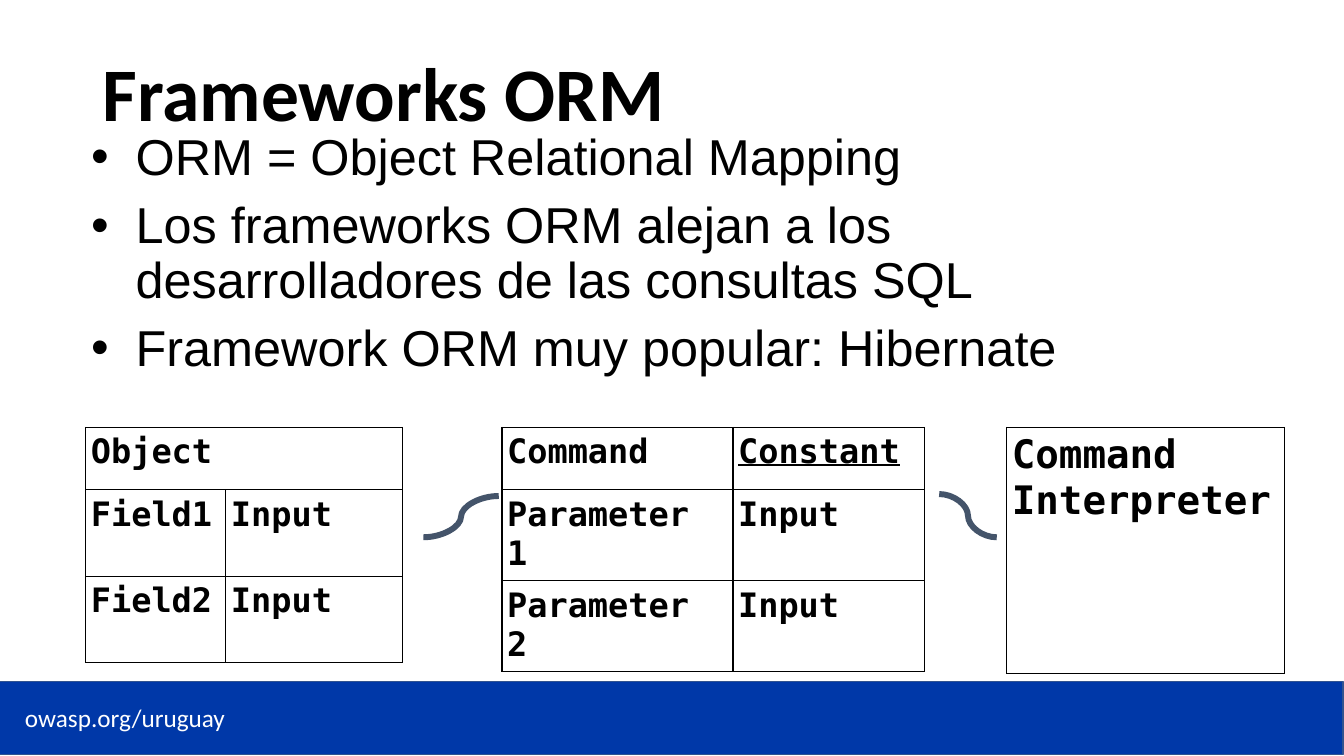
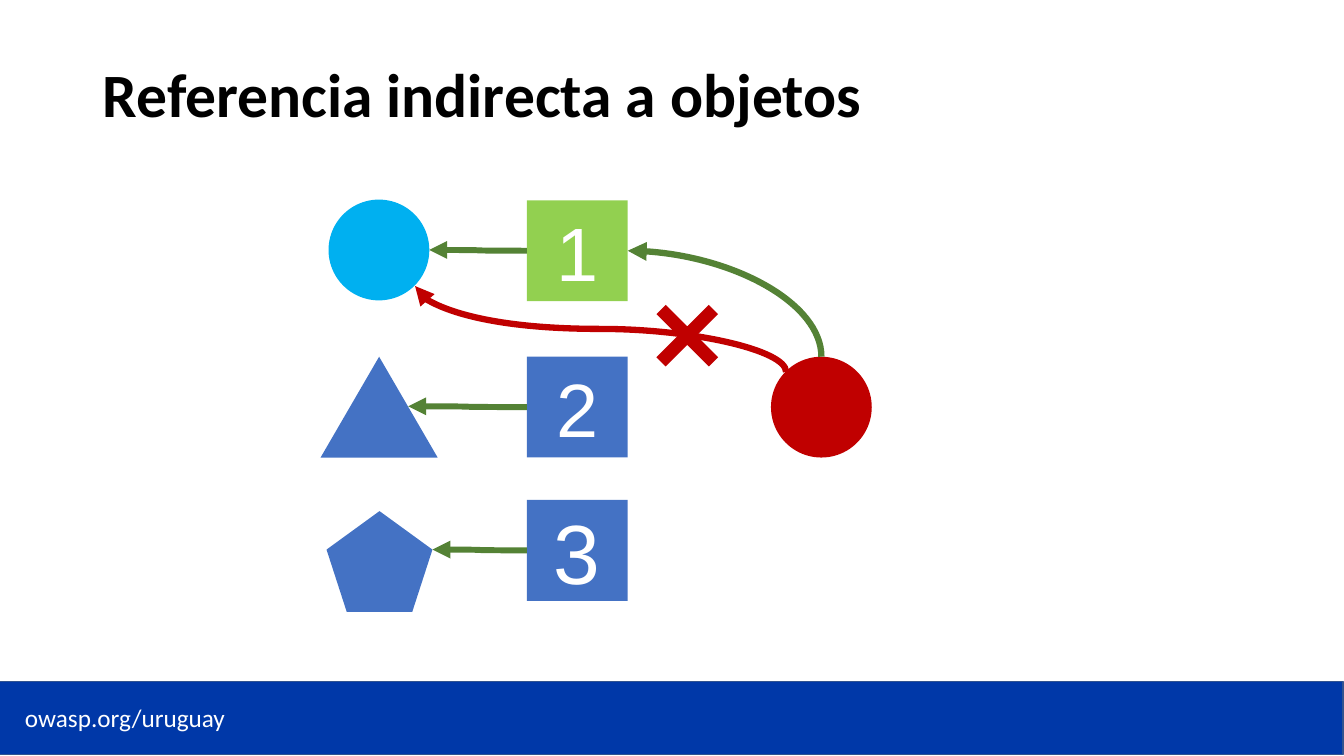
from dataclasses import dataclass
from typing import Optional

from lxml.etree import SubElement
from pptx import Presentation
from pptx.dml.color import RGBColor
from pptx.enum.dml import MSO_LINE
from pptx.enum.shapes import MSO_CONNECTOR, MSO_SHAPE
from pptx.enum.text import MSO_ANCHOR, PP_ALIGN
from pptx.oxml.ns import qn
from pptx.shapes.autoshape import Shape
from pptx.shapes.connector import Connector
from pptx.slide import Slide
from pptx.util import Cm, Pt

COLORS = {
    "band": "0038A8", "band_line": "31538F", "white": "FFFFFF", "black": "000000",
    "link": "44546A", "blue": "4472C4", "sky": "00B0F0", "lime": "92D050",
    "red": "C00000", "green": "548235",
}
MONO = "DejaVu Sans Mono"
SIDE = 2.54  # width and height of squares and circles
SQUARE_LEFT = 13.28
TABLE_TOP = 10.77
GRID_ROWS = (1.57, 2.18, 2.18)

Point = tuple[float, float]


@dataclass(frozen=True)
class Grid:
    left: float
    columns: tuple[float, ...]
    rows: tuple[float, ...]
    texts: tuple[tuple[str, ...], ...]
    size: int = 24
    underlined: str = ""


@dataclass(frozen=True)
class Target:
    """An object on the left, at the end of an arrow."""
    kind: MSO_SHAPE
    left: float
    top: float
    width: float
    color: str
    arrow_end: float


@dataclass(frozen=True)
class Reference:
    """A numbered square that points at its target."""
    number: str
    top: float
    color: str
    size: int
    target: Target


GRIDS = (
    Grid(2.16, (3.53, 4.45), GRID_ROWS,
         (("Object",), ("Field1", "Input"), ("Field2", "Input"))),
    Grid(12.65, (5.82, 4.83), GRID_ROWS,
         (("Command", "Constant"), ("Parameter 1", "Input"), ("Parameter 2", "Input")),
         underlined="Constant"),
    Grid(25.37, (7.01,), (6.2,), (("Command Interpreter",),), size=28),
)
GRID_LINKS: tuple[tuple[Point, Point], ...] = (
    ((10.67, 13.54), (12.57, 12.5)),
    ((23.67, 12.45), (25.12, 13.54)),
)
ORM_POINTS = (
    "ORM = Object Relational Mapping",
    "Los frameworks ORM alejan a los desarrolladores de las consultas SQL",
    "Framework ORM muy popular: Hibernate",
)
REFERENCES = (
    Reference("1", 5.05, "lime", 54,
              Target(MSO_SHAPE.OVAL, 8.28, 5.03, SIDE, "sky", 10.82)),
    Reference("2", 8.99, "blue", 54,
              Target(MSO_SHAPE.ISOSCELES_TRIANGLE, 8.08, 8.99, 2.95, "blue", 10.29)),
    Reference("3", 12.6, "blue", 60,
              Target(MSO_SHAPE.REGULAR_PENTAGON, 8.23, 12.88, 2.67, "blue", 10.9)),
)


def rgb(color: str) -> RGBColor:
    return RGBColor.from_string(COLORS[color])


def style(paragraph, name: str, size: int, color: str, bold: bool = False) -> None:
    font = paragraph.font
    font.name, font.size, font.bold = name, Pt(size), bold
    font.color.rgb = rgb(color)


def add_text_box(slide: Slide, left: float, top: float, width: float, height: float):
    frame = slide.shapes.add_textbox(Cm(left), Cm(top), Cm(width), Cm(height)).text_frame
    frame.word_wrap = True
    return frame


def add_solid(slide: Slide, kind: MSO_SHAPE, left: float, top: float,
              width: float, height: float, color: str) -> Shape:
    solid = slide.shapes.add_shape(kind, Cm(left), Cm(top), Cm(width), Cm(height))
    solid.shadow.inherit = False
    solid.fill.solid()
    solid.fill.fore_color.rgb = rgb(color)
    solid.line.fill.background()
    return solid


def add_curve(slide: Slide, begin: Point, end: Point, color: str, width: float = 4.25,
              arrow: bool = False, upward: bool = False,
              preset: str = "curvedConnector3") -> Connector:
    """Draw a curve; an upward one leaves its beginning vertically, going up and left."""
    if upward:
        # A quarter turn about the centre swaps width and height.
        center_x, center_y = (begin[0] + end[0]) / 2, (begin[1] + end[1]) / 2
        half_x, half_y = (begin[1] - end[1]) / 2, (begin[0] - end[0]) / 2
        begin = (center_x - half_x, center_y + half_y)
        end = (center_x + half_x, center_y - half_y)
    curve = slide.shapes.add_connector(
        MSO_CONNECTOR.CURVE, Cm(begin[0]), Cm(begin[1]), Cm(end[0]), Cm(end[1]))
    curve.line.color.rgb = rgb(color)
    curve.line.width = Pt(width)
    properties = curve._element.spPr
    properties.find(qn("a:prstGeom")).set("prst", preset)
    if upward:
        properties.find(qn("a:xfrm")).set("rot", str(270 * 60000))
    if arrow:
        SubElement(properties.find(qn("a:ln")), qn("a:tailEnd"), type="triangle")
    SubElement(properties, qn("a:effectLst"))
    return curve


def add_border(cell) -> None:
    properties = cell._tc.get_or_add_tcPr()
    for position, side in enumerate(("lnL", "lnR", "lnT", "lnB")):
        line = properties.makeelement(qn(f"a:{side}"), {"w": str(Pt(1))})
        fill = SubElement(line, qn("a:solidFill"))
        SubElement(fill, qn("a:srgbClr"), val=COLORS["black"])
        SubElement(line, qn("a:prstDash"), val=MSO_LINE.to_xml(MSO_LINE.SOLID))
        properties.insert(position, line)


def add_grid(slide: Slide, grid: Grid) -> None:
    table = slide.shapes.add_table(
        len(grid.rows), len(grid.columns), Cm(grid.left), Cm(TABLE_TOP),
        Cm(sum(grid.columns)), Cm(sum(grid.rows))).table
    table.first_row = table.horz_banding = False
    for column, width in zip(table.columns, grid.columns):
        column.width = Cm(width)
    for row, height in zip(table.rows, grid.rows):
        row.height = Cm(height)
    for cell in table.iter_cells():
        cell.fill.background()
        cell.margin_left = cell.margin_right = Cm(0.13)
        cell.margin_top = cell.margin_bottom = Cm(0.13)
        add_border(cell)
    for row, texts in enumerate(grid.texts):
        if len(texts) < len(grid.columns):
            table.cell(row, 0).merge(table.cell(row, len(grid.columns) - 1))
        for column, text in enumerate(texts):
            paragraph = table.cell(row, column).text_frame.paragraphs[0]
            paragraph.text = text
            style(paragraph, MONO, grid.size, "black", bold=True)
            if text == grid.underlined:
                paragraph.font.underline = True


def add_bullets(slide: Slide, points: tuple[str, ...]) -> None:
    frame = add_text_box(slide, 1.9, 3.2, 29.21, 12.09)
    for index, point in enumerate(points):
        paragraph = frame.add_paragraph() if index else frame.paragraphs[0]
        paragraph.text = point
        paragraph.line_spacing = 0.9
        if index:
            paragraph.space_before = Pt(10)
        properties = paragraph._p.get_or_add_pPr()
        properties.set("marL", str(Cm(1.27)))
        properties.set("indent", str(Cm(-1.12)))
        SubElement(properties, qn("a:buFont"), typeface="Arial")
        SubElement(properties, qn("a:buChar"), char="•")
        style(paragraph, "Arial", 36, "black")


def start_slide(deck, title: str, size: int) -> Slide:
    """Add a blank slide with the footer band and the title."""
    slide = deck.slides.add_slide(deck.slide_layouts[6])
    band = add_solid(slide, MSO_SHAPE.RECTANGLE, -0.03, 17.17, 33.88, 1.85, "band")
    band.line.color.rgb = rgb("band_line")
    band.line.width = Pt(1)
    address = add_text_box(slide, 0.38, 17.58, 5.6, 1.02).paragraphs[0]
    address.text = "owasp.org/uruguay"
    style(address, "Calibri", 18, "white")
    heading_frame = add_text_box(slide, 2.34, 0.61, 29.21, 3.68)
    heading_frame.vertical_anchor = MSO_ANCHOR.MIDDLE
    heading = heading_frame.paragraphs[0]
    heading.text = title
    heading.line_spacing = 0.9
    style(heading, "Calibri", size, "black", bold=True)
    return slide


def build_orm_slide(deck) -> None:
    slide = start_slide(deck, "Frameworks ORM", 54)
    add_bullets(slide, ORM_POINTS)
    for grid in GRIDS:
        add_grid(slide, grid)
    for begin, end in GRID_LINKS:
        add_curve(slide, begin, end, "link")


def add_reference(slide: Slide, reference: Reference) -> None:
    target = reference.target
    add_solid(slide, target.kind, target.left, target.top, target.width, SIDE, target.color)
    square = add_solid(slide, MSO_SHAPE.RECTANGLE, SQUARE_LEFT, reference.top,
                       SIDE, SIDE, reference.color)
    square.text_frame.vertical_anchor = MSO_ANCHOR.MIDDLE
    number = square.text_frame.paragraphs[0]
    number.text = reference.number
    number.alignment = PP_ALIGN.CENTER
    style(number, "Arial", reference.size, "white")
    middle = reference.top + SIDE / 2
    add_curve(slide, (SQUARE_LEFT, middle), (target.arrow_end, middle - 0.02),
              "green", arrow=True)


def build_reference_slide(deck) -> None:
    slide = start_slide(deck, "Referencia indirecta a objetos", 44)
    for reference in REFERENCES:
        add_reference(slide, reference)
    add_solid(slide, MSO_SHAPE.OVAL, 19.43, 8.99, SIDE, SIDE, "red")
    add_curve(slide, (19.81, 9.37), (10.46, 7.21), "red", 4.5, arrow=True, upward=True)
    cross = add_solid(slide, MSO_SHAPE.MATH_MULTIPLY, 16.05, 7.19, SIDE, SIDE, "red")
    cross.adjustments[0] = 0.13
    add_curve(slide, (20.7, 8.99), (SQUARE_LEFT + SIDE, 6.32), "green", 4.5,
              arrow=True, upward=True, preset="curvedConnector2")


def main() -> None:
    deck = Presentation()
    deck.slide_width, deck.slide_height = Cm(33.87), Cm(19.05)
    build_orm_slide(deck)
    build_reference_slide(deck)
    deck.save("out.pptx")


if __name__ == "__main__":
    main()
